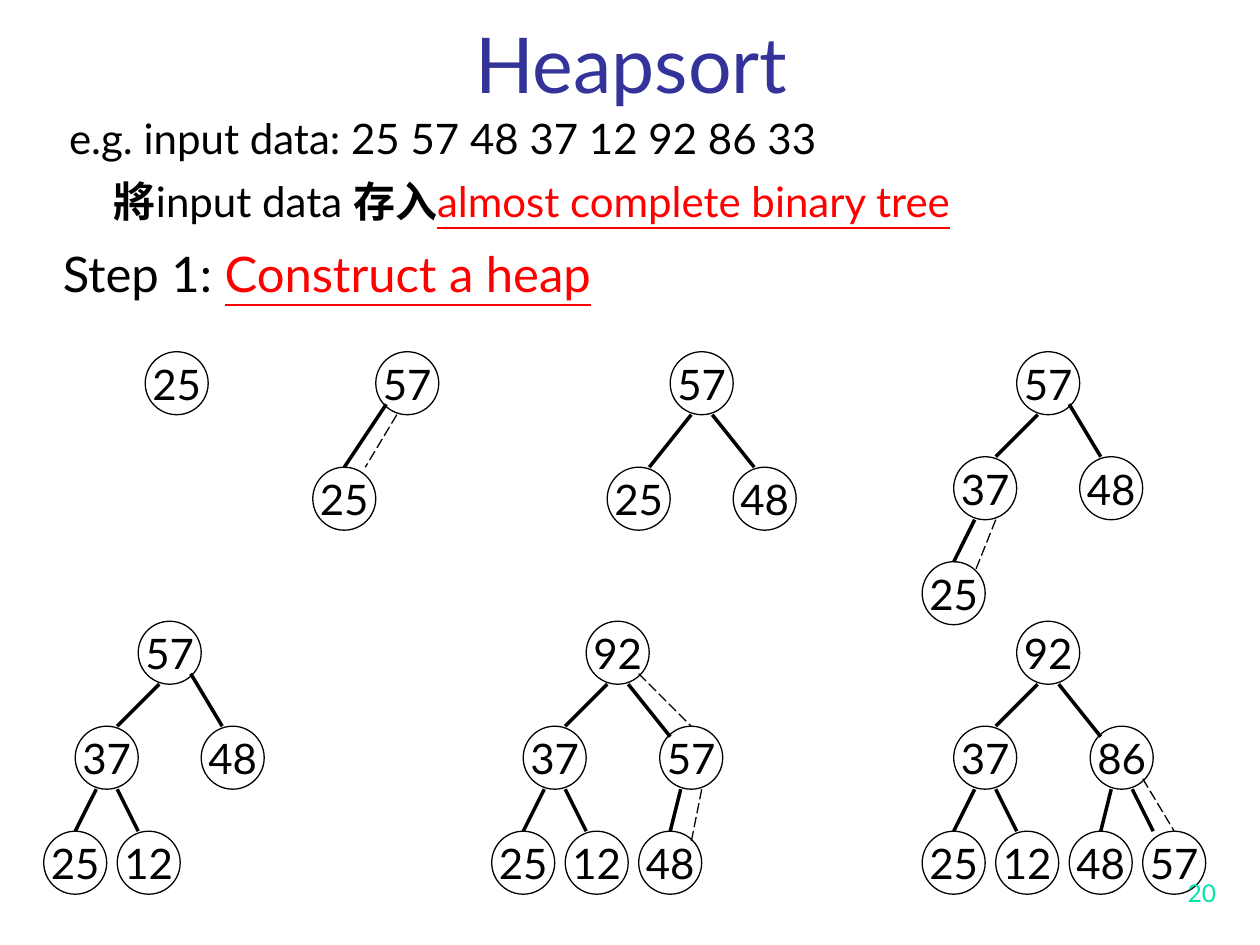
from pptx import Presentation
from pptx.dml.color import RGBColor
from pptx.enum.dml import MSO_LINE_DASH_STYLE as Dash
from pptx.enum.shapes import MSO_CONNECTOR_TYPE as Connector, MSO_SHAPE as Shape
from pptx.enum.text import MSO_ANCHOR as Anchor, MSO_AUTO_SIZE as AutoSize, PP_ALIGN as Align
from pptx.oxml.ns import qn
from pptx.util import Pt

FONT = "Lato"
BLACK, RED, BLUE, GREEN = "000000", "FF0000", "333399", "00E4A8"
NODE = 36

LEFT_NODES = [("37", -36, 60), ("25", -54, 120), ("12", -12, 120)]
ROOT_LEFT = (12, 36, -12, 60)
ROOT_RIGHT = (30, 30, 48, 60)
ROOT_FAR_RIGHT = (24, 36, 48, 66)
LEFT_LEFT = (-24, 96, -36, 120)
LEFT_RIGHT = (-12, 96, 0, 120)
RIGHT_LEFT = (54, 96, 48, 120)
RIGHT_RIGHT = (66, 96, 78, 120)
LEFT_EDGES = [ROOT_LEFT, LEFT_LEFT, LEFT_RIGHT]

TREES = [
    (83, 201, [("25", 0, 0)], [], []),
    (214.75, 201, [("57", 0, 0), ("25", -36, 66)],
     [(6, 30, -18, 66)], [(12, 36, -6, 66)]),
    (383, 201, [("57", 0, 0), ("25", -36, 66), ("48", 36, 66)],
     [(12, 36, -12, 66), (24, 36, 48, 66)], []),
    (581, 201, [("57", 0, 0), ("37", -36, 60), ("48", 36, 60), ("25", -54, 120)],
     [ROOT_LEFT, ROOT_RIGHT, LEFT_LEFT], [(-12, 96, -24, 126)]),
    (79, 355, [("57", 0, 0), *LEFT_NODES, ("48", 36, 60)],
     [*LEFT_EDGES, ROOT_RIGHT], []),
    (335, 355, [("92", 0, 0), *LEFT_NODES, ("57", 42, 60), ("48", 30, 120)],
     [*LEFT_EDGES, ROOT_FAR_RIGHT, RIGHT_LEFT],
     [(30, 30, 60, 60), (66, 96, 60, 126)]),
    (581, 355, [("92", 0, 0), *LEFT_NODES, ("86", 42, 60), ("48", 30, 120), ("57", 72, 120)],
     [*LEFT_EDGES, ROOT_FAR_RIGHT, RIGHT_LEFT, RIGHT_RIGHT],
     [(72, 90, 90, 120)]),
]


def color(value):
    """Turn a hex string into a colour."""
    return RGBColor.from_string(value)


def add_run(paragraph, text, size, fill=BLACK, bold=False, underline=False):
    """Append one formatted run to a paragraph."""
    run = paragraph.add_run()
    run.text = text
    font = run.font
    font.name, font.size = FONT, Pt(size)
    font.bold, font.underline = bold, underline
    font.color.rgb = color(fill)


def add_text(slide, box, runs, align=Align.LEFT, anchor=Anchor.TOP, wrap=False):
    """Place one paragraph of runs in a text box."""
    frame = slide.shapes.add_textbox(*map(Pt, box)).text_frame
    frame.word_wrap = wrap
    frame.auto_size = AutoSize.NONE if wrap else AutoSize.SHAPE_TO_FIT_TEXT
    frame.vertical_anchor = anchor
    paragraph = frame.paragraphs[0]
    paragraph.alignment = align
    for run in runs:
        add_run(paragraph, *run)


def add_node(slide, left, top, key):
    """Draw a tree node as a circle holding its key."""
    circle = slide.shapes.add_shape(Shape.OVAL, Pt(left), Pt(top), Pt(NODE), Pt(NODE))
    circle.shadow.inherit = False
    circle.fill.background()
    circle.line.color.rgb = color(BLACK)
    circle.line.width = Pt(0.75)
    frame = circle.text_frame
    frame.word_wrap = False
    frame.vertical_anchor = Anchor.MIDDLE
    paragraph = frame.paragraphs[0]
    paragraph.alignment = Align.CENTER
    add_run(paragraph, key, 24)


def add_edge(slide, left, top, edge, dashed=False):
    """Draw an edge, solid for a link and dashed for a swap."""
    x1, y1, x2, y2 = edge
    line = slide.shapes.add_connector(
        Connector.STRAIGHT, Pt(left + x1), Pt(top + y1), Pt(left + x2), Pt(top + y2))
    properties = line._element.spPr
    line.line.color.rgb = color(BLACK)
    line.line.width = Pt(0.75 if dashed else 2)
    if dashed:
        line.line.dash_style = Dash.LONG_DASH
    properties.append(properties.makeelement(qn("a:effectLst"), {}))


def add_tree(slide, left, top, nodes, links, swaps):
    """Draw a heap relative to the corner of its root node."""
    for key, x, y in nodes:
        add_node(slide, left + x, top + y, key)
    for link in links:
        add_edge(slide, left, top, link)
    for swap in swaps:
        add_edge(slide, left, top, swap, dashed=True)


def add_heading(slide):
    """Write the title, the input data and the step."""
    add_text(slide, (54, -6.5, 613.5, 72), [("Heapsort", 44, BLUE)],
             Align.CENTER, Anchor.BOTTOM, True)
    add_text(slide, (32.4, 60.5, 453.6, 36),
             [("e.g. input data: 25 57 48 37 12 92 86 33", 24)])
    add_text(slide, (52.6, 96.5, 547.2, 36), [
        (" 將", 24, BLACK, True),
        ("input data ", 24),
        ("存入", 24, BLACK, True),
        ("almost complete binary tree", 24, RED, False, True)])
    add_text(slide, (28.8, 135.4, 334.8, 41), [
        ("Step 1: ", 28),
        ("Construct a heap", 28, RED, False, True)])


def main():
    """Build and save the slide."""
    presentation = Presentation()
    presentation.slide_width, presentation.slide_height = Pt(720), Pt(540)
    slide = presentation.slides.add_slide(presentation.slide_layouts[6])
    add_heading(slide)
    for tree in TREES:
        add_tree(slide, *tree)
    add_text(slide, (552.25, 486, 149.75, 36), [("20", 14, GREEN)],
             Align.RIGHT, Anchor.BOTTOM, True)
    presentation.save("out.pptx")


if __name__ == "__main__":
    main()
